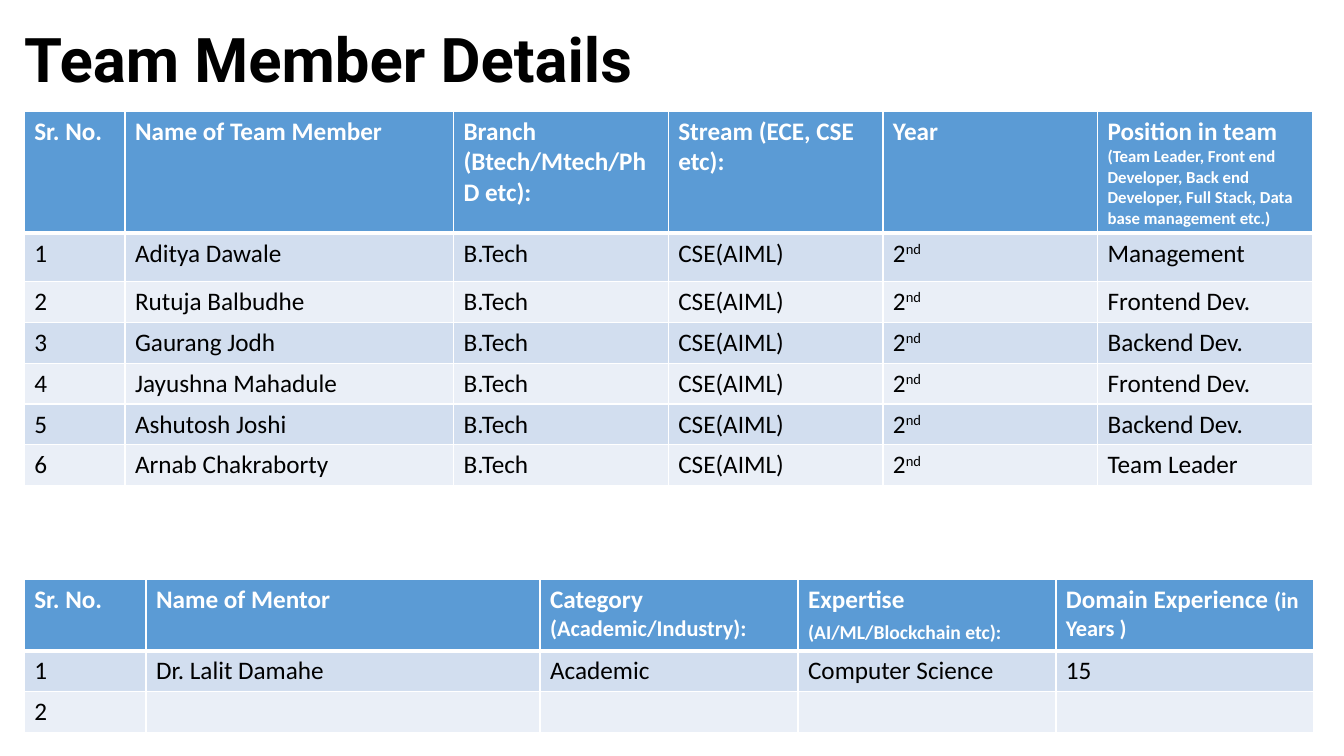
from lxml.etree import SubElement
from pptx import Presentation
from pptx.dml.color import RGBColor
from pptx.enum.text import MSO_ANCHOR
from pptx.oxml.ns import qn
from pptx.util import Cm, Pt

BLACK = RGBColor(0x00, 0x00, 0x00)
WHITE = RGBColor(0xFF, 0xFF, 0xFF)
HEADER_BLUE = RGBColor(0x5B, 0x9B, 0xD5)
BANDS = [RGBColor(0xEA, 0xEF, 0xF7), RGBColor(0xD2, 0xDE, 0xEF)]

LEFT = Cm(0.61)
BODY_SIZE = 18
THIN, THICK = Pt(0.96), Pt(3)


def add_border(cell, side, width):
    line = SubElement(cell._tc.get_or_add_tcPr(), qn(f"a:{side}"), w=str(width))
    fill = SubElement(line, qn("a:solidFill"))
    SubElement(fill, qn("a:srgbClr"), val=str(WHITE))


def add_banded_table(top, widths, heights, rows):
    """Each cell is a string or a list of (text, size, baseline) runs."""
    table = slide.shapes.add_table(
        len(rows), len(widths), LEFT, top, Cm(sum(widths)), Cm(sum(heights))
    ).table
    for column, width in zip(table.columns, widths):
        column.width = Cm(width)
    for r, (row, height) in enumerate(zip(rows, heights)):
        table.rows[r].height = Cm(height)
        is_header = r == 0
        for c, content in enumerate(row):
            cell = table.cell(r, c)
            for side in ("lnL", "lnR"):
                add_border(cell, side, THIN)
            add_border(cell, "lnT", THICK if r == 1 else THIN)
            add_border(cell, "lnB", THICK if is_header else THIN)
            cell.fill.solid()
            cell.fill.fore_color.rgb = HEADER_BLUE if is_header else BANDS[r % 2]
            paragraph = cell.text_frame.paragraphs[0]
            paragraph.font.size = Pt(BODY_SIZE)
            if isinstance(content, str):
                content = [(content, BODY_SIZE, 0)] if content else []
            for text, size, baseline in content:
                run = paragraph.add_run()
                run.text = text
                run.font.name = "Calibri"
                run.font.size = Pt(size)
                run.font.bold = is_header
                run.font.color.rgb = WHITE if is_header else BLACK
                if baseline:
                    run._r.get_or_add_rPr().set("baseline", str(baseline))


prs = Presentation()
prs.slide_width, prs.slide_height = Cm(33.87), Cm(19.05)
slide = prs.slides.add_slide(prs.slide_layouts[6])

# Title
title = slide.shapes.add_textbox(LEFT, Cm(0.71), Cm(18.39), Cm(1.7)).text_frame
title.margin_left = title.margin_right = title.margin_top = title.margin_bottom = 0
title.word_wrap = True
title.vertical_anchor = MSO_ANCHOR.BOTTOM
title.text = "Team Member Details"
title.paragraphs[0].line_spacing = 0.9
title_font = title.paragraphs[0].runs[0].font
title_font.name = "Roboto"
title_font.size = Pt(44)
title_font.bold = True
title_font.color.rgb = BLACK

# Team members
members = [
    ("Aditya Dawale", "Management"),
    ("Rutuja Balbudhe", "Frontend Dev."),
    ("Gaurang Jodh", "Backend Dev."),
    ("Jayushna Mahadule", "Frontend Dev."),
    ("Ashutosh Joshi", "Backend Dev."),
    ("Arnab Chakraborty", "Team Leader"),
]
second_year = [("2", BODY_SIZE, 0), ("nd", BODY_SIZE, 30000)]
position_header = [
    ("Position in team ", BODY_SIZE, 0),
    ("(Team Leader, Front end Developer, Back end Developer, "
     "Full Stack, Data base management etc.)", 12, 0),
]
team_rows = [["Sr. No.", "Name of Team Member", "Branch (Btech/Mtech/PhD etc):",
              "Stream (ECE, CSE etc):", "Year", position_header]]
for number, (name, position) in enumerate(members, 1):
    team_rows.append([str(number), name, "B.Tech", "CSE(AIML)", second_year, position])
add_banded_table(Cm(2.8), [2.54, 8.28] + [5.41] * 4, [3.07, 1.22] + [1.03] * 5, team_rows)

# Mentors
mentor_rows = [
    ["Sr. No.", "Name of Mentor",
     [("Category ", BODY_SIZE, 0), ("(Academic/Industry):", 16, 0)],
     [("Expertise ", BODY_SIZE, 0), ("(AI/ML/Blockchain etc):", 14, 0), (" ", BODY_SIZE, 0)],
     [("Domain Experience ", BODY_SIZE, 0), ("(in Years )", 16, 0)]],
    ["1", "Dr. Lalit Damahe", "Academic", "Computer Science", "15"],
    ["2", "", "", "", ""],
]
add_banded_table(Cm(14.61), [3.07, 9.93] + [6.5] * 3, [1.79, 1.03, 1.03], mentor_rows)

prs.save("out.pptx")
